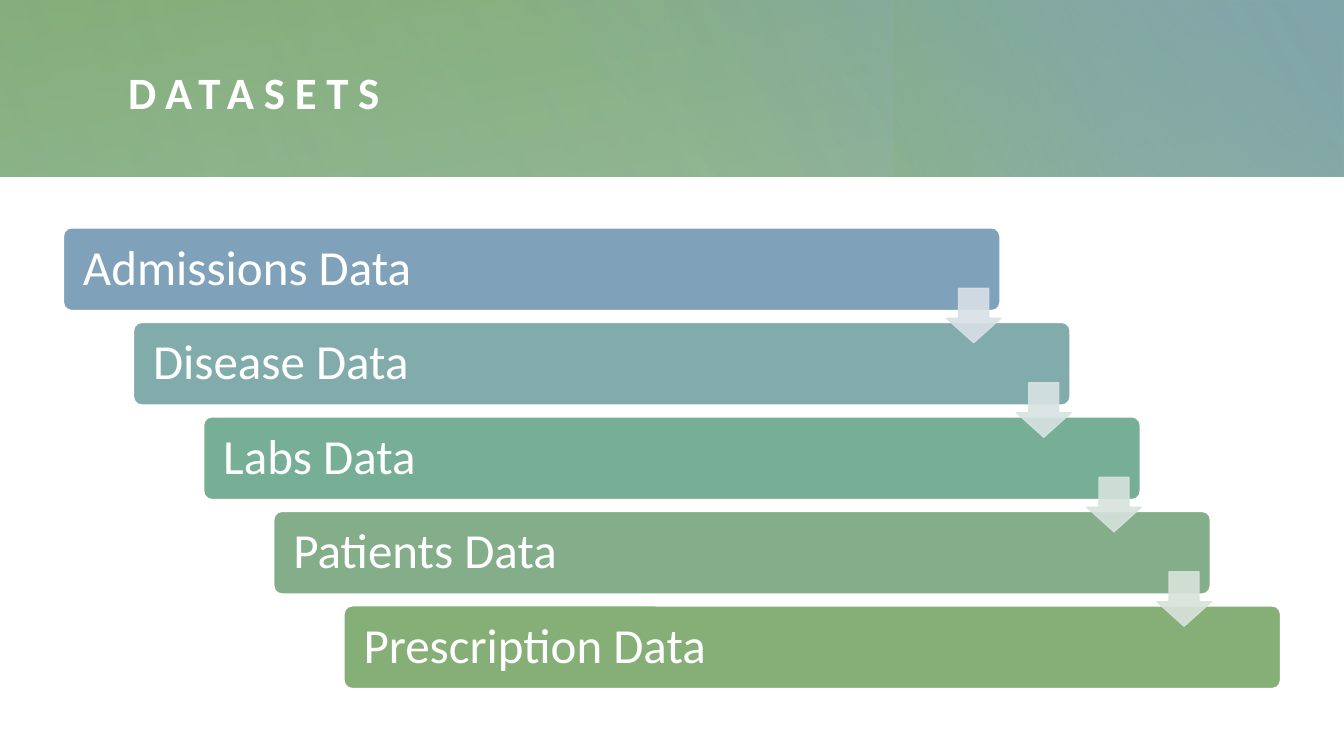
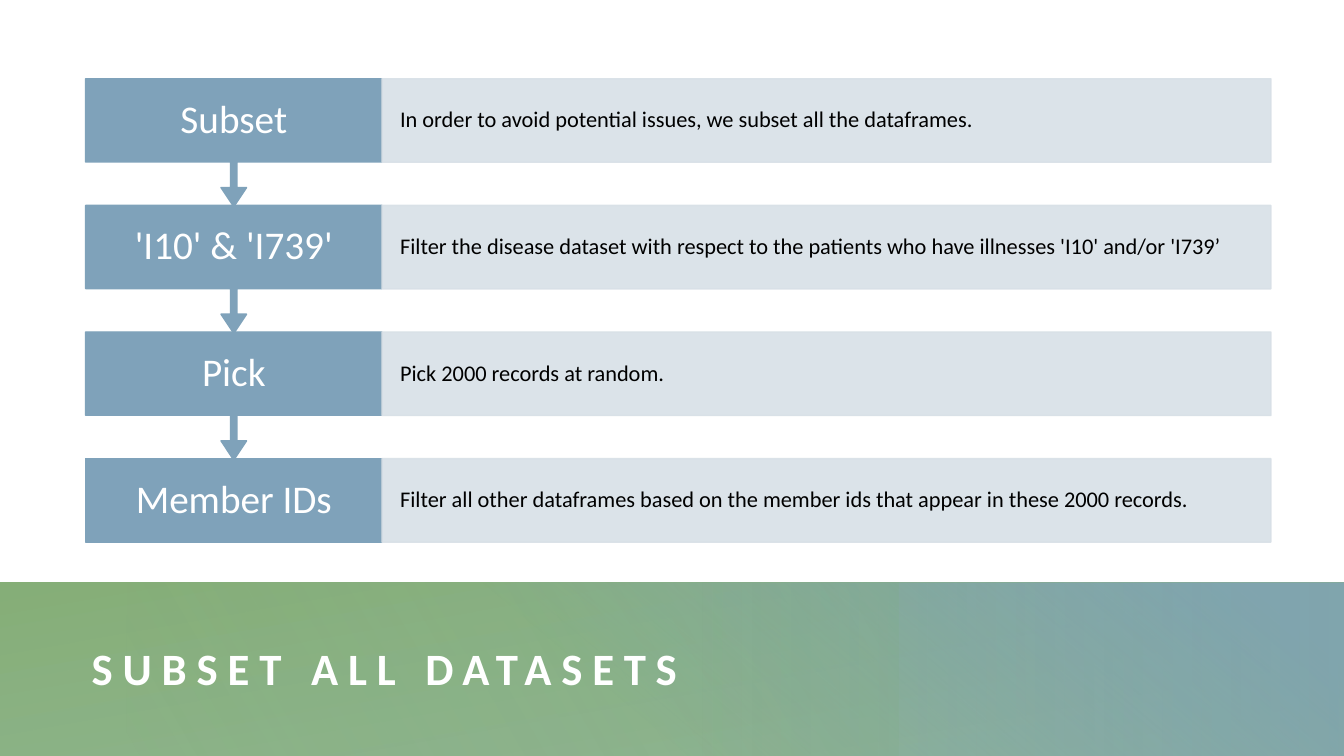
from dataclasses import dataclass

from lxml.etree import SubElement as Sub
from pptx import Presentation
from pptx.dml.color import RGBColor as Rgb
from pptx.enum.shapes import MSO_SHAPE as Form
from pptx.enum.text import MSO_ANCHOR as Anchor, PP_ALIGN as Align
from pptx.oxml.ns import qn
from pptx.util import Inches, Pt


@dataclass(frozen=True)
class Theme:
    font: str = "Calibri"
    white: str = "FFFFFF"
    black: str = "000000"
    blue: str = "7FA2BA"
    aqua: str = "82ACAB"
    teal: str = "77AE96"
    sage: str = "84AE8A"
    green: str = "86AF78"
    mist: str = "D8E0E7"
    # Pale tints for the arrows, one for each step down
    tints: tuple = ("D8E0E7", "D8E3E2", "D6E3DD", "D9E3DA")
    head: int = 32
    bar: int = 35
    label: int = 28
    body: int = 16
    track: int = 700


class Deck:
    """Holds the style and the current slide; boxes are in grid cells."""

    COLS, ROWS = 64, 36

    def __init__(self, theme):
        self.theme = theme
        self.prs = Presentation()
        self.prs.slide_width, self.prs.slide_height = Inches(13.333), Inches(7.5)
        self.slide = None

    def page(self):
        self.slide = self.prs.slides.add_slide(self.prs.slide_layouts[6])

    def place(self, box):
        wide = self.prs.slide_width / self.COLS
        high = self.prs.slide_height / self.ROWS
        return [round(n * unit) for n, unit in zip(box, (wide, high) * 2)]

    def shape(self, form, box, fill, line=None, alpha=None, adj=()):
        item = self.slide.shapes.add_shape(form, *self.place(box))
        item.shadow.inherit = False
        for i, value in enumerate(adj):
            item.adjustments[i] = value
        item.fill.solid()
        item.fill.fore_color.rgb = Rgb.from_string(fill)
        item.line.color.rgb = Rgb.from_string(line or fill)
        item.line.width = Pt(1)
        if alpha:
            for tone in item._element.spPr.iter(qn("a:srgbClr")):
                Sub(tone, qn("a:alpha"), val=str(alpha * 1000))
        return item

    def wash(self, box, angle, stops, turn=0):
        """Gradient block; each stop is (position, colour, opacity)."""
        item = self.slide.shapes.add_shape(Form.RECTANGLE, *self.place(box))
        item.shadow.inherit = False
        item.rotation = turn
        item.line.fill.background()
        item.fill.gradient()
        grad = item._element.spPr.find(qn("a:gradFill"))
        grad.clear()
        grad.set("rotWithShape", "1")
        group = Sub(grad, qn("a:gsLst"))
        for pos, tone, alpha in stops:
            stop = Sub(group, qn("a:gs"), pos=str(pos * 1000))
            color = Sub(stop, qn("a:srgbClr"), val=tone)
            Sub(color, qn("a:alpha"), val=str(alpha * 1000))
        Sub(grad, qn("a:lin"), ang=str(angle * 60000), scaled="0")

    def letter(self, item, text, size, color, side=0, align=Align.LEFT):
        frame = item.text_frame
        frame.word_wrap = True
        frame.vertical_anchor = Anchor.MIDDLE
        frame.margin_left = frame.margin_right = Inches(side)
        frame.margin_top = frame.margin_bottom = 0
        para = frame.paragraphs[0]
        para.alignment = align
        para.line_spacing = 0.9
        para.font.name = self.theme.font
        para.font.size = Pt(size)
        para.font.color.rgb = Rgb.from_string(color)
        run = para.add_run()
        run.text = text
        return para, run

    def title(self, text, box):
        item = self.slide.shapes.add_textbox(*self.place(box))
        para, run = self.letter(item, text, self.theme.head, self.theme.white)
        para.font.bold = True
        run._r.get_or_add_rPr().set("spc", str(self.theme.track))

    def band(self, top, washes):
        for (left, drop, wide, high), *rest in washes:
            self.wash((left, top + drop, wide, high), *rest)


def sets(deck):
    t = deck.theme
    deck.page()

    # Band and title
    deck.band(0, [
        ((0, 0, 64, 8.4), 260, [(0, t.sage, 83), (100, t.green, 100)]),
        ((23.1, 0.05, 40.9, 8.35), 310, [(22, t.blue, 0), (99, t.blue, 100)]),
        ((47.38, -4.75, 8.4, 17.95), 250, [(45, t.teal, 0), (99, t.green, 33)], 270),
        ((12.86, 0, 51.1, 8.4), 330, [(0, t.sage, 30), (99, t.sage, 0)], 180),
        ((0, 0, 41.5, 8.4), 340, [(0, t.sage, 21), (99, t.sage, 0)]),
    ])
    deck.title("DATASETS", (6.1, 1.97, 54.48, 5.09))

    # Staircase of bars, then the arrows over them
    dx, dy = 3.34, 4.5
    bars = [("Admissions", t.blue), ("Disease", t.aqua), ("Labs", t.teal),
            ("Patients", t.sage), ("Prescription", t.green)]
    for i, (name, tone) in enumerate(bars):
        box = (3.02 + i * dx, 10.85 + i * dy, 44.6, 3.94)
        bar = deck.shape(Form.ROUNDED_RECTANGLE, box, tone, t.white, adj=[0.1])
        deck.letter(bar, f"{name} Data", t.bar, t.white, 0.17)
    for i, tint in enumerate(t.tints):
        box = (45.07 + i * dx, 13.73 + i * dy, 2.59, 2.59)
        deck.shape(Form.DOWN_ARROW, box, tint, alpha=90, adj=[0.55, 0.45])


def subset(deck):
    t = deck.theme
    deck.page()

    # Band and title
    deck.band(27.74, [
        ((-0.05, 0, 64.1, 8.4), 260, [(0, t.sage, 88), (100, t.green, 100)]),
        ((21.2, 0, 42.85, 8.35), 310, [(22, t.blue, 0), (91, t.blue, 100)]),
        ((6, 0, 36.8, 8.3), 330, [(0, t.sage, 30), (99, t.sage, 0)], 180),
        ((21.2, 0, 42.85, 8.35), 0, [(0, t.sage, 26), (72, t.sage, 0)], 180),
    ])
    deck.title("SUBSET ALL DATASETS", (4.37, 29.66, 55.58, 4.61))

    # Steps: a label with an arrow to the next one, and a description
    steps = [
        ("Subset", "In order to avoid potential issues, we subset all the dataframes."),
        ("'I10' & 'I739'", "Filter the disease dataset with respect to the patients "
                           "who have illnesses 'I10' and/or 'I739’"),
        ("Pick", "Pick 2000 records at random."),
        ("Member IDs", "Filter all other dataframes based on the member ids "
                       "that appear in these 2000 records."),
    ]
    left, wide, high = 4.08, 14.11, 3.98
    for i, (name, note) in enumerate(steps):
        top = 3.75 + i * 6.03
        if i < len(steps) - 1:
            label = deck.shape(Form.DOWN_ARROW_CALLOUT, (left, top, wide, 6.1),
                               t.blue, adj=[0.05, 0.1, 0.15, 0.65])
        else:
            label = deck.shape(Form.RECTANGLE, (left, top, wide, high), t.blue)
        deck.letter(label, name, t.label, t.white, 0.21, Align.CENTER)
        panel = deck.shape(Form.RECTANGLE, (left + wide, top, 3 * wide, high),
                           t.mist, alpha=90)
        deck.letter(panel, note, t.body, t.black, 0.18)


def main():
    deck = Deck(Theme())
    sets(deck)
    subset(deck)
    deck.prs.save("out.pptx")


if __name__ == "__main__":
    main()
